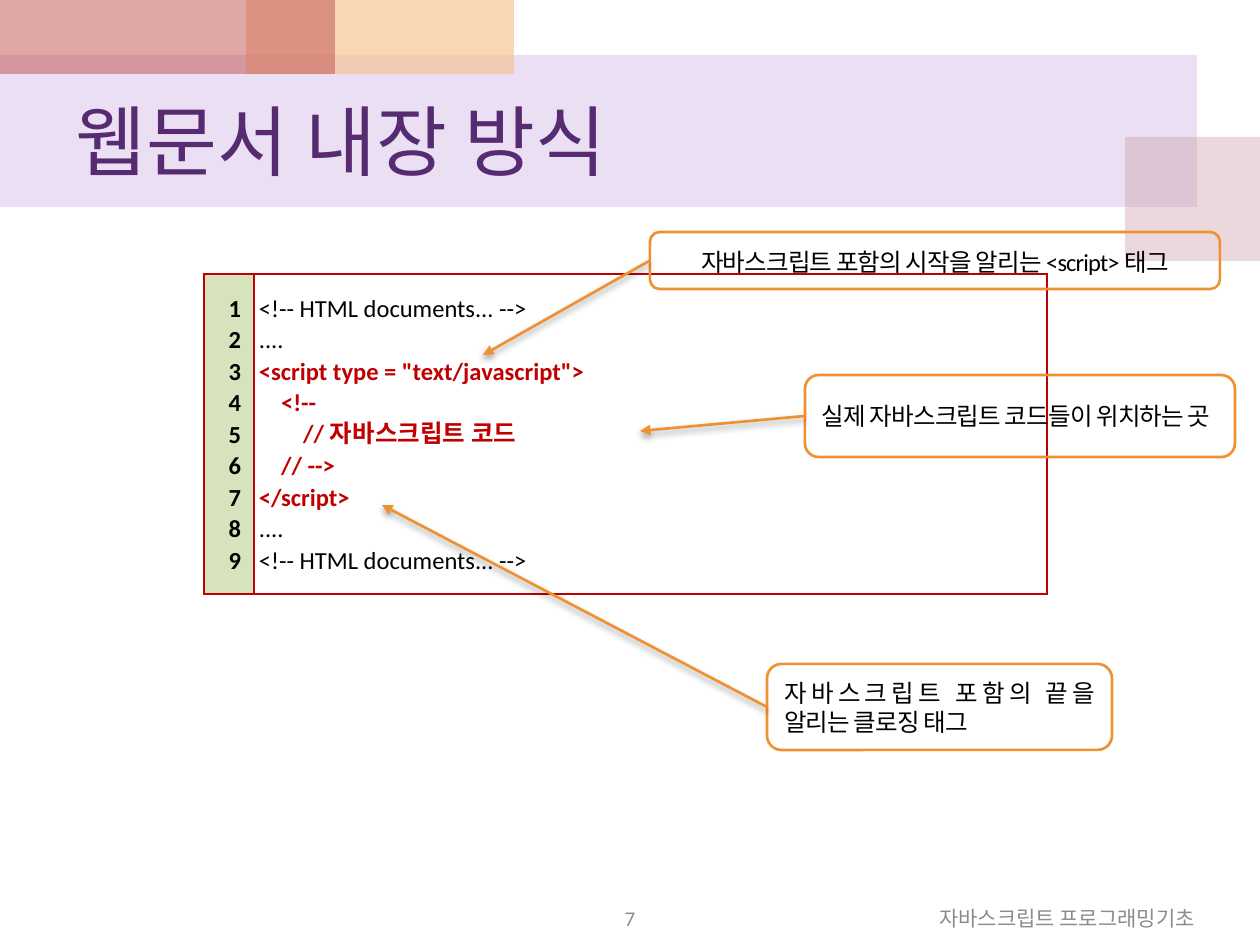
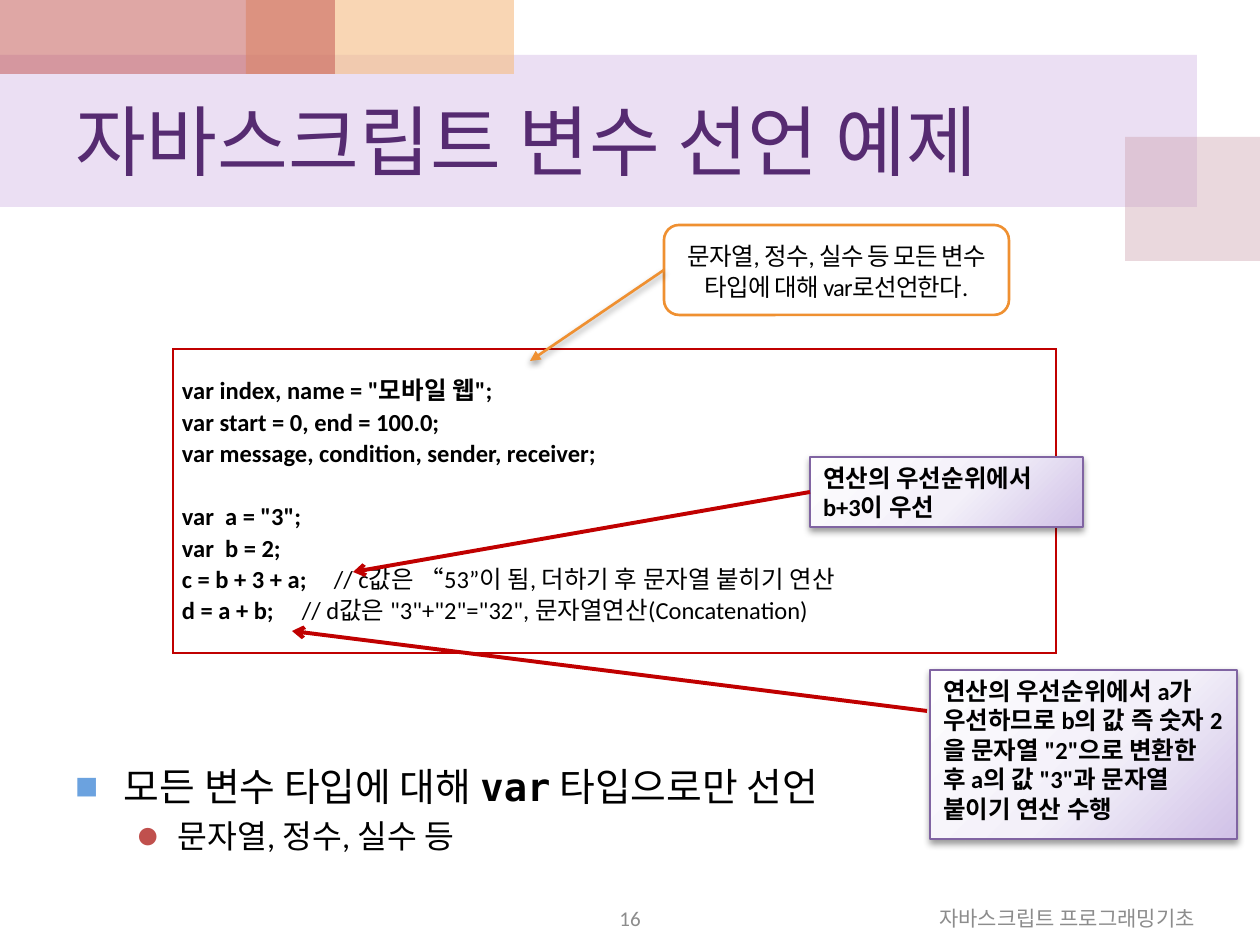
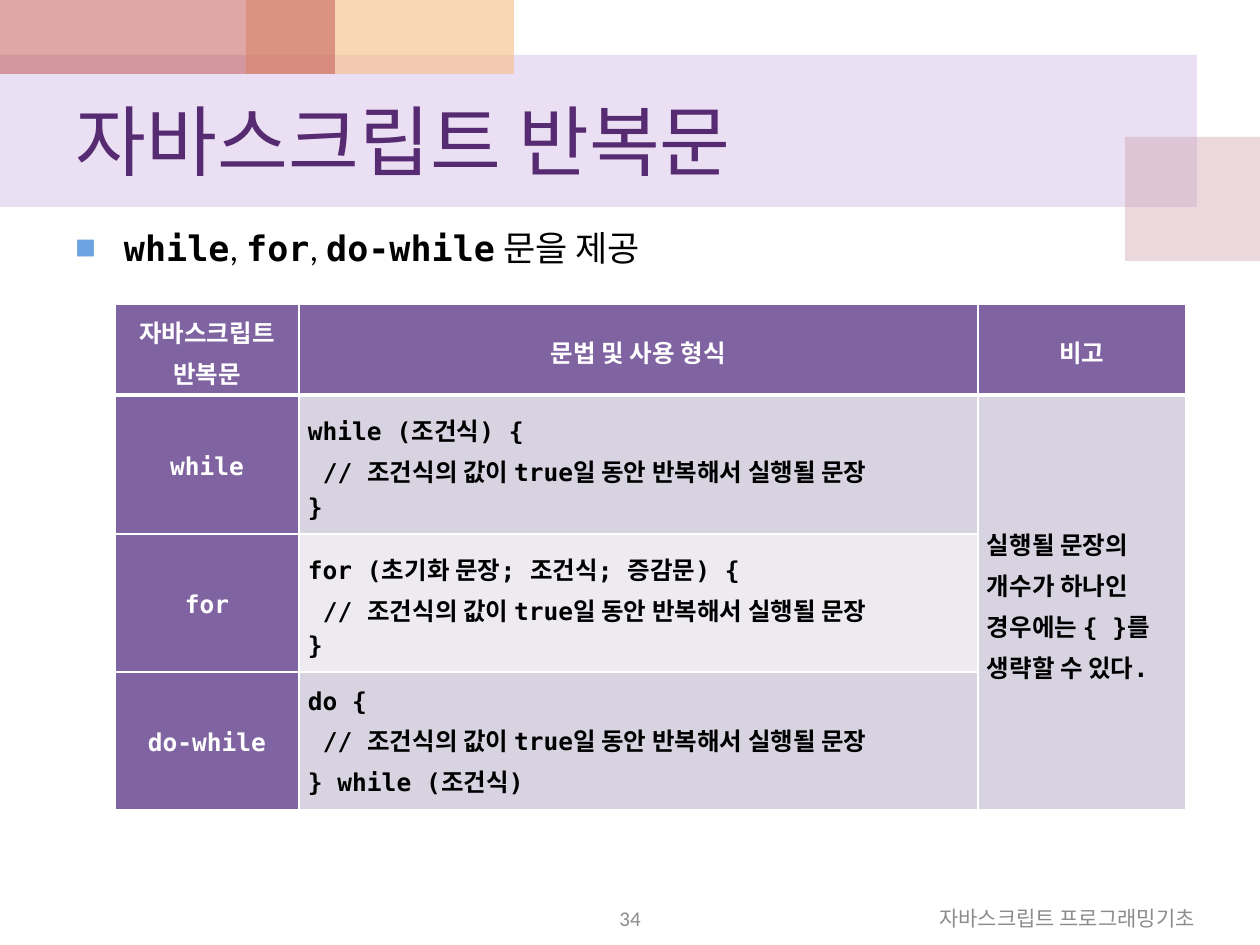
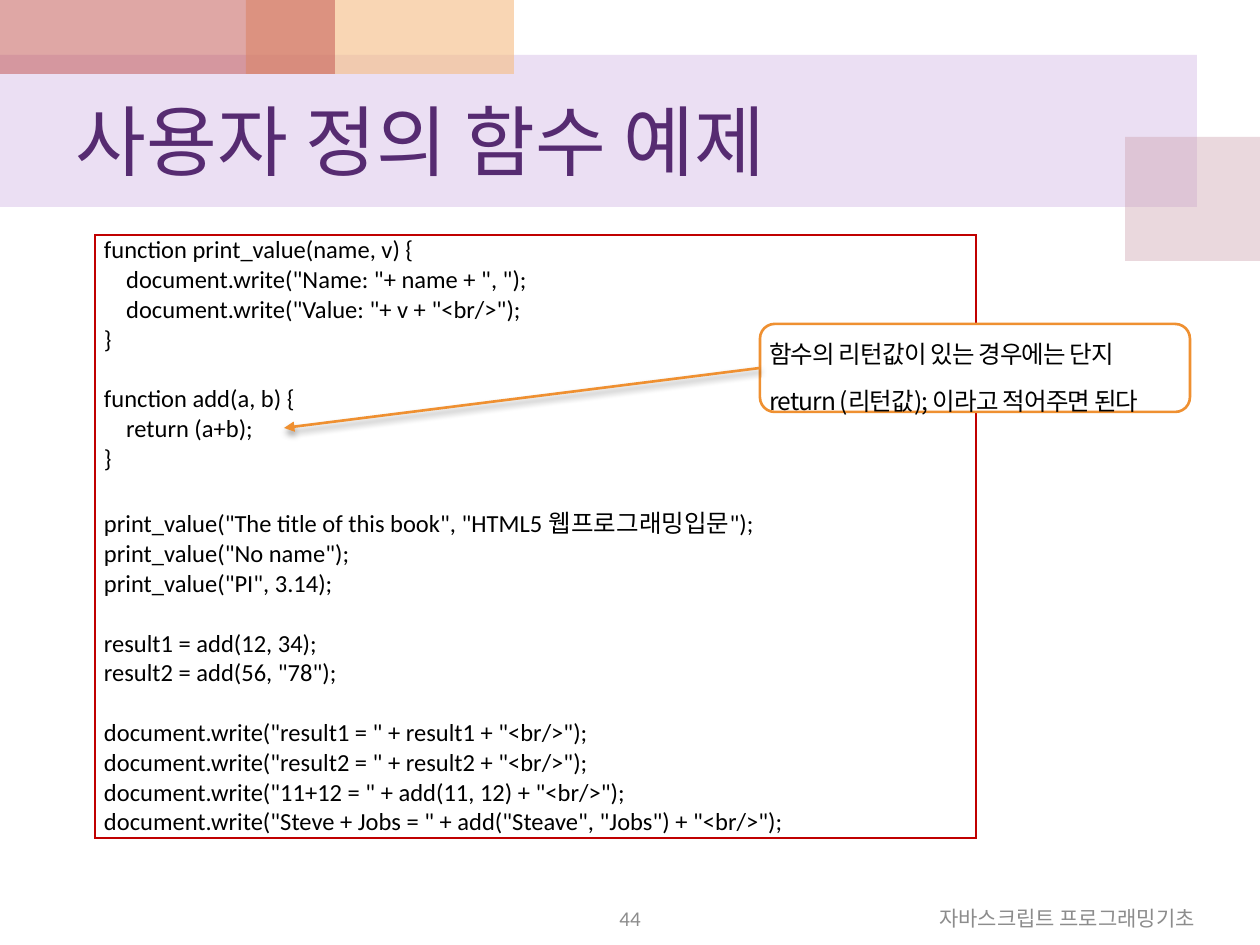
from lxml import etree
from pptx import Presentation
from pptx.dml.color import RGBColor
from pptx.enum.shapes import MSO_CONNECTOR, MSO_SHAPE
from pptx.enum.text import MSO_ANCHOR, PP_ALIGN
from pptx.oxml import parse_xml
from pptx.oxml.ns import qn
from pptx.util import Pt

RECT, ROUND = MSO_SHAPE.RECTANGLE, MSO_SHAPE.ROUNDED_RECTANGLE
STRAIGHT = MSO_CONNECTOR.STRAIGHT
MIDDLE, TOP = MSO_ANCHOR.MIDDLE, MSO_ANCHOR.TOP
LEFT, CENTER, RIGHT, JUSTIFY = (PP_ALIGN.LEFT, PP_ALIGN.CENTER,
                                PP_ALIGN.RIGHT, PP_ALIGN.JUSTIFY)
NS = 'xmlns:a="http://schemas.openxmlformats.org/drawingml/2006/main"'

# Shared look
BODY, MONO, KOREAN = "Calibri", "DejaVu Sans Mono", "Noto Sans CJK KR"
BLACK, WHITE, GRAY = "000000", "FFFFFF", "8C8C8C"
PLUM, ORANGE, RED, PURPLE = "562B71", "EF9031", "C00000", "8064A2"
BAND_DARK, BAND_LIGHT, GREEN = "D8D3E0", "EDEAF0", "D6E3BC"
FOOTER = "자바스크립트 프로그래밍기초"
INSET = (13, 6, 13, 6)
TIGHT = (5, 0, 5, 0)
CELL = (9, 0, 9, 0)
# box, colour, opacity in percent
DECOR = [
    ((0, 55, 1197, 152), "BF98D8", 30),
    ((1125, 137, 135, 124), "CC9EAC", 40),
    ((246, 0, 268, 74), "F5BC83", 60),
    ((0, 0, 335, 74), "C0504D", 50),
]


def px(n):
    return round(n * 914400 / 126)


def rgb(value):
    return RGBColor.from_string(value)


def sub(parent, tag, **attrs):
    el = etree.SubElement(parent, qn(tag))
    for key, value in attrs.items():
        el.set(key, str(value))
    return el


# ---- text ----
def add_run(p, text, size=14, color=BLACK, bold=False, font=BODY, track=None):
    r = p.add_run()
    r.text = text
    r.font.size = Pt(size)
    r.font.bold = bold
    r.font.color.rgb = rgb(color)
    r.font.name = font
    rPr = r.font._element
    sub(rPr, "a:ea", typeface=KOREAN)
    if track:
        rPr.set("spc", str(round(track * 100)))


def add_bullet(p, char, color, left, hang):
    pPr = p._p.get_or_add_pPr()
    pPr.set("marL", str(px(left)))
    pPr.set("indent", str(-px(hang)))
    sub(sub(pPr, "a:buClr"), "a:srgbClr", val=color)
    sub(pPr, "a:buSzPct", val=60000)
    sub(pPr, "a:buFont", typeface=KOREAN)
    sub(pPr, "a:buChar", char=char)


def write(tf, paras, align=LEFT, leading=None, before=0, bullet=None,
          first=0, tab=None, **fmt):
    """Each paragraph is a string, a list of runs, or (either, own format)."""
    base = dict(align=align, leading=leading, before=before, bullet=bullet,
                first=first, tab=tab, **fmt)
    for i, para in enumerate([paras] if isinstance(paras, str) else paras):
        runs, own = para if isinstance(para, tuple) else (para, {})
        f = {**base, **own}
        p = tf.add_paragraph() if i else tf.paragraphs[0]
        p.alignment = f.pop("align")
        bullet, first, tab = f.pop("bullet"), f.pop("first"), f.pop("tab")
        leading, before = f.pop("leading"), f.pop("before")
        if bullet:
            add_bullet(p, *bullet)
        if first:
            p._p.get_or_add_pPr().set("indent", str(px(first)))
        if tab:
            tabs = sub(p._p.get_or_add_pPr(), "a:tabLst")
            sub(tabs, "a:tab", pos=px(tab), algn="l")
        if leading:
            p.line_spacing = leading
        if i and before:
            p.space_before = Pt(before)
        for run in [runs] if isinstance(runs, str) else runs:
            text, extra = run if isinstance(run, tuple) else (run, {})
            add_run(p, text, **{**f, **extra})


def set_frame(host, anchor, margins):
    """Host is a text frame or a table cell."""
    host.vertical_anchor = anchor
    (host.margin_left, host.margin_top,
     host.margin_right, host.margin_bottom) = map(px, margins)


def add_text(s, box, paras, anchor=MIDDLE, **fmt):
    tf = s.shapes.add_textbox(*map(px, box)).text_frame
    tf.word_wrap = True
    set_frame(tf, anchor, INSET)
    write(tf, paras, **fmt)


# ---- shapes ----
def set_shadow(sp):
    spPr = sp._element.spPr
    for old in spPr.findall(qn("a:effectLst")):
        spPr.remove(old)
    shadow = sub(sub(spPr, "a:effectLst"), "a:outerShdw", blurRad=Pt(4),
                 dist=Pt(2), dir=90 * 60000, rotWithShape=0)
    sub(sub(shadow, "a:srgbClr", val=BLACK), "a:alpha", val=40000)


def add_box(s, box, kind=RECT, fill=None, opacity=None, line=None, width=1.5):
    sp = s.shapes.add_shape(kind, *map(px, box))
    sp.shadow.inherit = False
    if fill:
        sp.fill.solid()
        sp.fill.fore_color.rgb = rgb(fill)
        if opacity:
            color = sp._element.spPr.find(".//" + qn("a:srgbClr"))
            sub(color, "a:alpha", val=opacity * 1000)
    else:
        sp.fill.background()
    if line:
        sp.line.color.rgb = rgb(line)
        sp.line.width = Pt(width)
    else:
        sp.line.fill.background()
    return sp


def add_arrow(s, start, end, color, width, head, joined=None, shadow=False):
    c = s.shapes.add_connector(STRAIGHT, *map(px, (*start, *end)))
    if joined is not None:
        c.begin_connect(joined, 1)
    c.line.color.rgb = rgb(color)
    c.line.width = Pt(width)
    sub(c.line._get_or_add_ln(), "a:tailEnd", type=head)
    if shadow:
        set_shadow(c)
    else:
        sub(c._element.spPr, "a:effectLst")


def add_callout(s, box, target, text, fill=None, margins=INSET, **fmt):
    """Rounded note with an arrow from its left side to the target."""
    x, y, _, h = box
    sp = add_box(s, box, ROUND, fill, line=ORANGE)
    sp.text_frame.word_wrap = True
    set_frame(sp.text_frame, MIDDLE, margins)
    write(sp.text_frame, text, track=-0.5, **fmt)
    add_arrow(s, (x, y + h // 2), target, ORANGE, 1.5, "triangle", sp, True)


def add_note(s, box, text):
    """Shaded lilac note."""
    sp = add_box(s, box, line=PURPLE, width=0.75)
    stops = "".join(
        f'<a:gs pos="{pos}000"><a:srgbClr val="{color}"/></a:gs>'
        for pos, color in ((0, "FEFEFE"), (55, "F3F0F9"), (100, "D0C1E7")))
    grad = parse_xml(
        f'<a:gradFill {NS} rotWithShape="1"><a:gsLst>{stops}</a:gsLst>'
        '<a:path path="circle"><a:fillToRect l="-40000" t="-90000" '
        'r="140000" b="190000"/></a:path></a:gradFill>')
    spPr = sp._element.spPr
    spPr.replace(spPr.find(qn("a:noFill")), grad)
    set_shadow(sp)
    sp.text_frame.word_wrap = True
    set_frame(sp.text_frame, TOP, INSET)
    write(sp.text_frame, text, bold=True)
    return sp


# ---- tables ----
def add_grid(s, x, y, cols, rows):
    table = s.shapes.add_table(len(rows), len(cols), px(x), px(y),
                               px(sum(cols)), px(sum(rows))).table
    table.first_row = table.horz_banding = False
    for col, w in zip(table.columns, cols):
        col.width = px(w)
    for row, h in zip(table.rows, rows):
        row.height = px(h)
    return table


def set_cell(cell, paras, fill=None, border=RED, top=1, bottom=1,
             margins=CELL, **fmt):
    set_frame(cell, MIDDLE, margins)
    if fill:
        cell.fill.solid()
        cell.fill.fore_color.rgb = rgb(fill)
    else:
        cell.fill.background()
    tcPr = cell._tc.get_or_add_tcPr()
    for i, (side, w) in enumerate(zip("LRTB", (1, 1, top, bottom))):
        tcPr.insert(i, parse_xml(
            f'<a:ln{side} {NS} w="{Pt(w)}"><a:solidFill>'
            f'<a:srgbClr val="{border}"/></a:solidFill></a:ln{side}>'))
    write(cell.text_frame, paras, **fmt)


# ---- slides ----
def new_slide(prs, title, number):
    s = prs.slides.add_slide(prs.slide_layouts[6])
    for box, color, opacity in DECOR:
        add_box(s, box, fill=color, opacity=opacity)
    add_text(s, (63, 74, 1134, 132), title, size=44, color=PLUM)
    add_text(s, (483, 901, 294, 34), str(number), size=12, color=GRAY,
             align=CENTER)
    add_text(s, (809, 901, 399, 34), FOOTER, size=12, color=GRAY, align=RIGHT)
    return s


def embed_slide(prs):
    s = new_slide(prs, "웹문서 내장 방식", 7)
    html = "<!-- HTML documents... -->"
    script = ['<script type = "text/javascript">', "    <!--",
              "        // 자바스크립트 코드", "    // -->", "</script>"]
    lines = [html, "....",
             *((line, dict(color=RED, bold=True)) for line in script),
             "....", html]
    # Numbered listing
    table = add_grid(s, 204, 274, [50, 793], [320])
    fmt = dict(margins=(5, 0, 13, 0), leading=Pt(18))
    numbers = [str(n + 1) for n in range(len(lines))]
    set_cell(table.cell(0, 0), numbers, GREEN, align=RIGHT, bold=True, **fmt)
    set_cell(table.cell(0, 1), lines, **fmt)
    # Callouts
    add_callout(s, (650, 232, 570, 57), (483, 355),
                "자바스크립트 포함의 시작을 알리는 <script> 태그",
                align=CENTER, leading=1.07)
    add_callout(s, (805, 375, 430, 82), (640, 431),
                "실제 자바스크립트 코드들이 위치하는 곳",
                align=JUSTIFY, font=KOREAN)
    add_callout(s, (767, 664, 345, 86), (382, 505),
                "자바스크립트 포함의 끝을 알리는 클로징 태그",
                align=JUSTIFY, font=KOREAN)


def variable_slide(prs):
    s = new_slide(prs, "자바스크립트 변수 선언 예제", 16)
    # Bullets
    add_text(s, (63, 757, 1134, 103), [
        (["모든 변수 타입에 대해 ", ("var", dict(font=MONO, bold=True)),
          " 타입으로만 선언"],
         dict(size=22.2, bullet=("■", "6BA2DF", 48, 48))),
        ("문자열, 정수, 실수 등",
         dict(size=18.5, before=3.7, bullet=("●", "C0504D", 102, 39))),
    ], anchor=TOP)
    # Listing
    plain = dict(bold=False)
    table = add_grid(s, 173, 349, [883], [304])
    set_cell(table.cell(0, 0), [
        'var index, name = "모바일 웹";',
        "var start = 0, end = 100.0;",
        "var message, condition, sender, receiver;",
        ('var  a = "3";', dict(before=18)),
        "var  b = 2;",
        (["c = b + 3 + a;",
          ("\t// c값은 “53”이 됨, 더하기 후 문자열 붙히기 연산", plain)],
         dict(tab=152)),
        (["d = a + b;",
          ('\t// d값은 "3"+"2"="32", 문자열연산(Concatenation)', plain)],
         dict(tab=120)),
    ], bold=True, leading=Pt(18))
    # Notes and their arrows
    first = add_note(s, (810, 457, 273, 70), "연산의 우선순위에서 b+3이 우선")
    add_arrow(s, (810, 492), (353, 572), RED, 2.25, "arrow", first)
    add_note(s, (930, 670, 307, 169),
             '연산의 우선순위에서 a가 우선하므로 b의 값 즉 숫자 2을 문자열 "2"으로 '
             '변환한 후 a의 값 "3"과 문자열 붙이기 연산 수행')
    add_arrow(s, (927, 711), (292, 631), RED, 2.25, "arrow")
    add_callout(s, (664, 225, 345, 90), (530, 361),
                "문자열, 정수, 실수 등 모든 변수 타입에 대해 var로선언한다.",
                fill=WHITE, margins=TIGHT, align=CENTER, leading=1.07)


def loop_slide(prs):
    s = new_slide(prs, "자바스크립트 반복문", 34)
    code = dict(font=MONO, bold=True)
    add_text(s, (63, 220, 1134, 624), [
        ([("while", code), ", ", ("for", code), ", ", ("do-while", code),
          " 문을 제공"], dict(bullet=("■", "6BA2DF", 48, 48))),
    ], anchor=TOP, size=20)
    # Loop table
    comment = ("// 조건식의 값이 true일 동안 반복해서 실행될 문장", dict(first=15))
    loops = [
        ("while", ["while (조건식) {", comment, "}"]),
        ("for", ["for (초기화 문장; 조건식; 증감문) {", comment, "}"]),
        ("do-while", ["do {", comment, "} while (조건식)"]),
    ]
    table = add_grid(s, 115, 304, [184, 679, 208], [91, 139, 138, 138])
    table.cell(1, 2).merge(table.cell(3, 2))
    cell = dict(border=WHITE, leading=1.15, **code)
    head = dict(fill=PURPLE, color=WHITE, align=CENTER, **cell)
    titles = [["자바스크립트", "반복문"], "문법 및 사용 형식", "비고"]
    for i, title in enumerate(titles):
        set_cell(table.cell(0, i), title, bottom=3, **head)
    for i, (name, syntax) in enumerate(loops, 1):
        top = 3 if i == 1 else 1
        set_cell(table.cell(i, 0), name, top=top, **head)
        set_cell(table.cell(i, 1), syntax, BAND_DARK if i % 2 else BAND_LIGHT,
                 top=top, **cell)
    set_cell(table.cell(1, 2),
             "실행될 문장의 개수가 하나인 경우에는 { }를 생략할 수 있다.",
             BAND_DARK, top=3, **cell)


def function_slide(prs):
    s = new_slide(prs, "사용자 정의 함수 예제", 44)
    blocks = [
        ["function print_value(name, v) {",
         '    document.write("Name: "+ name + ", ");',
         '    document.write("Value: "+ v + "<br/>");',
         "}"],
        ["function add(a, b) {", "    return (a+b);", "}"],
        ['print_value("The title of this book", "HTML5 웹프로그래밍입문");',
         'print_value("No name");',
         'print_value("PI", 3.14);'],
        ["result1 = add(12, 34);", 'result2 = add(56, "78");'],
        ['document.write("result1 = " + result1 + "<br/>");',
         'document.write("result2 = " + result2 + "<br/>");',
         'document.write("11+12 = " + add(11, 12) + "<br/>");',
         'document.write("Steve + Jobs = " + add("Steave", "Jobs") + "<br/>");'],
    ]
    # Listing, with a line's gap between blocks
    lines = [(line, dict(before=0 if i else 17))
             for block in blocks for i, line in enumerate(block)]
    table = add_grid(s, 95, 235, [881], [603])
    set_cell(table.cell(0, 0), lines, WHITE)
    add_callout(s, (760, 324, 430, 88), (284, 428),
                "함수의 리턴값이 있는 경우에는 단지 return (리턴값); 이라고 "
                "적어주면 된다",
                fill=WHITE, margins=TIGHT, leading=1.6, font=KOREAN)


def main():
    prs = Presentation()
    prs.slide_width, prs.slide_height = px(1260), px(945)
    for build in (embed_slide, variable_slide, loop_slide, function_slide):
        build(prs)
    prs.save("out.pptx")


if __name__ == "__main__":
    main()
